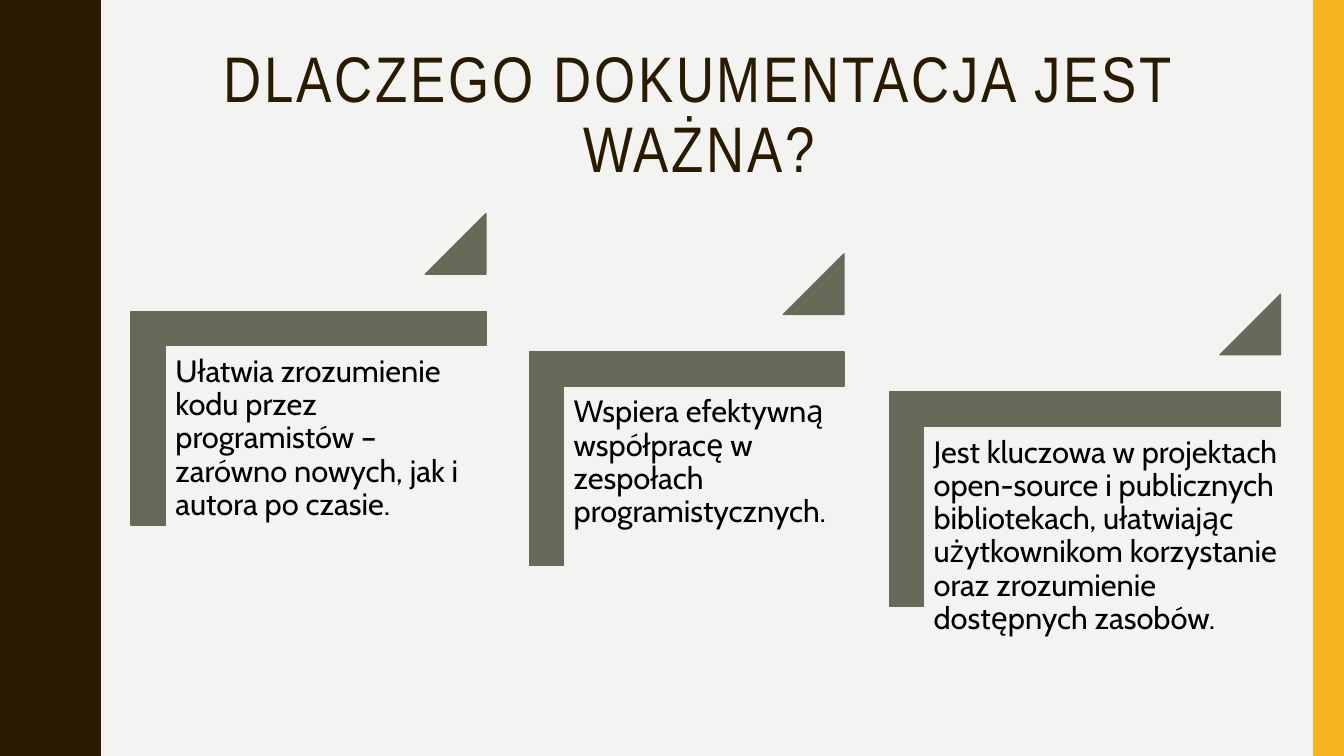
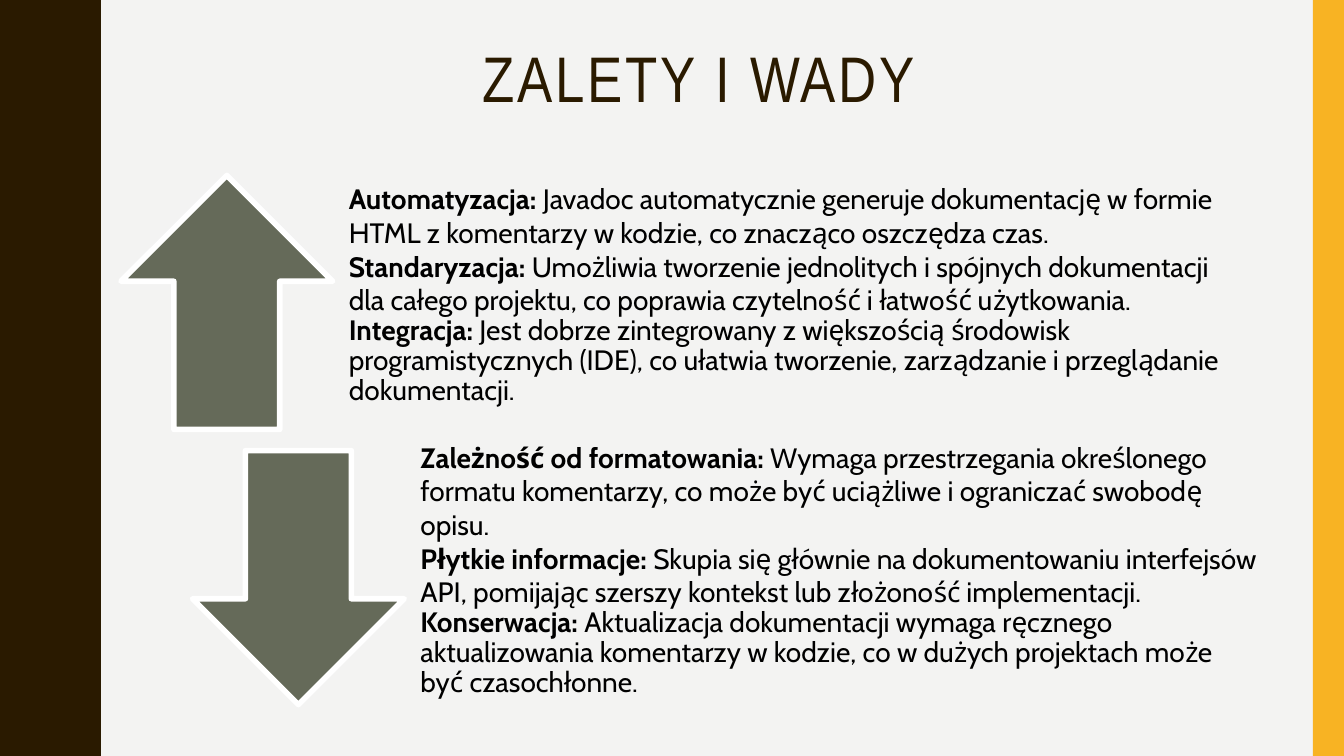
from dataclasses import dataclass

from pptx import Presentation
from pptx.dml.color import RGBColor
from pptx.enum.shapes import MSO_SHAPE
from pptx.enum.text import MSO_ANCHOR, PP_ALIGN
from pptx.util import Inches, Pt

# Content
REASONS_TITLE = "DLACZEGO DOKUMENTACJA JEST WAŻNA?"
# text, bracket left, bracket width, text width
REASONS = [
    ("Ułatwia zrozumienie kodu przez programistów – zarówno nowych, jak i autora po czasie.",
     1.3, 3.52, 3.26),
    ("Wspiera efektywną współpracę w zespołach programistycznych.",
     5.25, 3.12, 2.81),
    ("Jest kluczowa w projektach open-source i publicznych bibliotekach, "
     "ułatwiając użytkownikom korzystanie oraz zrozumienie dostępnych zasobów.",
     8.82, 3.88, 3.63),
]

BALANCE_TITLE = "ZALETY I WADY"
# arrow, arrow left, arrow top, text width, points
BALANCE = [
    (MSO_SHAPE.UP_ARROW, 1.2, 1.74, 9.03, [
        ("Automatyzacja: ", "Javadoc automatycznie generuje dokumentację w formie HTML "
         "z komentarzy w kodzie, co znacząco oszczędza czas."),
        ("Standaryzacja: ", "Umożliwia tworzenie jednolitych i spójnych dokumentacji dla całego "
         "projektu, co poprawia czytelność i łatwość użytkowania."),
        ("Integracja: ", "Jest dobrze zintegrowany z większością środowisk programistycznych "
         "(IDE), co ułatwia tworzenie, zarządzanie i przeglądanie dokumentacji."),
    ]),
    (MSO_SHAPE.DOWN_ARROW, 1.91, 4.47, 8.65, [
        ("Zależność od formatowania: ", "Wymaga przestrzegania określonego formatu komentarzy, "
         "co może być uciążliwe i ograniczać swobodę opisu."),
        ("Płytkie informacje: ", "Skupia się głównie na dokumentowaniu interfejsów API, "
         "pomijając szerszy kontekst lub złożoność implementacji."),
        ("Konserwacja: ", "Aktualizacja dokumentacji wymaga ręcznego aktualizowania komentarzy "
         "w kodzie, co w dużych projektach może być czasochłonne."),
    ]),
]


@dataclass(frozen=True)
class Theme:
    paper: str = "F3F3F2"
    brown: str = "2A1A00"
    amber: str = "F8B323"
    olive: str = "656A59"
    white: str = "FFFFFF"
    black: str = "000000"
    title_font: str = "Arial Narrow"
    body_font: str = "Cabin"
    title_size: int = 46
    reason_size: int = 22
    point_size: int = 20
    tracking: int = 2


THEME = Theme()
WIDTH, HEIGHT = 13.33, 7.5

# Wavy edge: half a wave as (x, y) steps, mirrored for the other half
WAVE_PERIOD = HEIGHT / 5
HALF_WAVE = [(0.78, 0), (0.78, 0.07), (0.79, 0.14), (0.8, 0.2), (0.81, 0.25),
             (0.83, 0.29), (0.85, 0.33), (0.87, 0.38), (0.89, 0.42), (0.91, 0.46),
             (0.93, 0.5), (0.95, 0.55), (0.96, 0.61), (0.97, 0.68), (0.97, 0.75)]
WAVE = HALF_WAVE + [(x, WAVE_PERIOD - y) for x, y in HALF_WAVE[-2::-1]]

# Staircase of reasons
STAIR_TOP, STAIR_STEP = 3.09, 0.4
BRACKET_HEIGHT, BRACKET_ARM = 2.12, 0.16
TEXT_SHIFT, TEXT_HEIGHT = 0.35, 2.79
CORNER_SIDE, CORNER_RISE = 0.6, 0.97

ARROW_WIDTH, ARROW_HEIGHT = 2.1, 2.52


def colour(code):
    return RGBColor.from_string(code)


def paint(shape, fill, line=None, line_width=1):
    shape.shadow.inherit = False
    shape.fill.solid()
    shape.fill.fore_color.rgb = colour(fill)
    if line:
        shape.line.color.rgb = colour(line)
        shape.line.width = Pt(line_width)
    else:
        shape.line.fill.background()


def add_figure(slide, kind, box, fill, line=None, line_width=1):
    figure = slide.shapes.add_shape(kind, *map(Inches, box))
    paint(figure, fill, line, line_width)
    return figure


def add_text(slide, box, paragraphs, size, font=THEME.body_font, ink=THEME.black,
             insets=(0.09, 0.09, 0.09, 0.09), anchor=MSO_ANCHOR.TOP,
             align=PP_ALIGN.LEFT, tracking=0):
    """Each paragraph is (line spacing, [(text, bold), ...])."""
    frame = slide.shapes.add_textbox(*map(Inches, box)).text_frame
    frame.word_wrap = True
    frame.vertical_anchor = anchor
    (frame.margin_left, frame.margin_top,
     frame.margin_right, frame.margin_bottom) = map(Inches, insets)
    for index, (spacing, pieces) in enumerate(paragraphs):
        paragraph = frame.add_paragraph() if index else frame.paragraphs[0]
        paragraph.alignment = align
        paragraph.line_spacing = spacing
        for words, bold in pieces:
            run = paragraph.add_run()
            run.text = words
            run.font.name = font
            run.font.size = Pt(size)
            run.font.bold = bold
            run.font.color.rgb = colour(ink)
            if tracking:
                run.font._element.set("spc", str(tracking * 100))


def add_titled_slide(prs, title):
    """Blank slide with the wavy band, the amber band and a title."""
    slide = prs.slides.add_slide(prs.slide_layouts[6])
    edge = [(x, y + wave * WAVE_PERIOD) for wave in range(5) for x, y in WAVE]
    builder = slide.shapes.build_freeform(0, 0, scale=Inches(1))
    builder.add_line_segments(edge + [(0, HEIGHT)], close=True)
    paint(builder.convert_to_shape(), THEME.brown)
    add_figure(slide, MSO_SHAPE.RECTANGLE, (13.02, 0, WIDTH - 13.02, HEIGHT), THEME.amber)
    add_text(slide, (1.37, 0.42, 11.13, 1.63), [(0.9, [(title, False)])],
             THEME.title_size, THEME.title_font, THEME.brown,
             insets=(0.1, 0.05, 0.1, 0.05), align=PP_ALIGN.CENTER, tracking=THEME.tracking)
    return slide


def build_reasons(prs):
    slide = add_titled_slide(prs, REASONS_TITLE)
    for step, (reason, left, width, text_width) in enumerate(REASONS):
        top = STAIR_TOP + step * STAIR_STEP
        # Bracket: an upright corner turned a quarter about its centre
        turn = (width - BRACKET_HEIGHT) / 2
        bracket = add_figure(slide, MSO_SHAPE.CORNER,
                             (left + turn, top - turn, BRACKET_HEIGHT, width),
                             THEME.olive, THEME.olive)
        bracket.rotation = 90
        bracket.adjustments[0] = bracket.adjustments[1] = BRACKET_ARM
        add_text(slide, (left + TEXT_SHIFT, top + TEXT_SHIFT, text_width, TEXT_HEIGHT),
                 [(0.9, [(reason, False)])], THEME.reason_size)
        # Triangle above the bracket's right end
        triangle = add_figure(slide, MSO_SHAPE.ISOSCELES_TRIANGLE,
                              (left + width - CORNER_SIDE, top - CORNER_RISE,
                               CORNER_SIDE, CORNER_SIDE), THEME.olive, THEME.olive)
        triangle.adjustments[0] = 1


def build_balance(prs):
    slide = add_titled_slide(prs, BALANCE_TITLE)
    for arrow, left, top, text_width, points in BALANCE:
        add_figure(slide, arrow, (left, top, ARROW_WIDTH, ARROW_HEIGHT),
                   THEME.olive, THEME.white, 4)
        # The last point is set tighter than those before it
        paragraphs = [(0.9 if point is points[-1] else 1.0,
                       [(point[0], True), (point[1], False)]) for point in points]
        add_text(slide, (left + ARROW_WIDTH, top, text_width, ARROW_HEIGHT), paragraphs,
                 THEME.point_size, insets=(0.16, 0, 0.16, 0.16), anchor=MSO_ANCHOR.MIDDLE)


def main():
    prs = Presentation()
    prs.slide_width, prs.slide_height = Inches(WIDTH), Inches(HEIGHT)
    backdrop = prs.slide_master.background.fill
    backdrop.solid()
    backdrop.fore_color.rgb = colour(THEME.paper)
    build_reasons(prs)
    build_balance(prs)
    prs.save("out.pptx")


if __name__ == "__main__":
    main()
